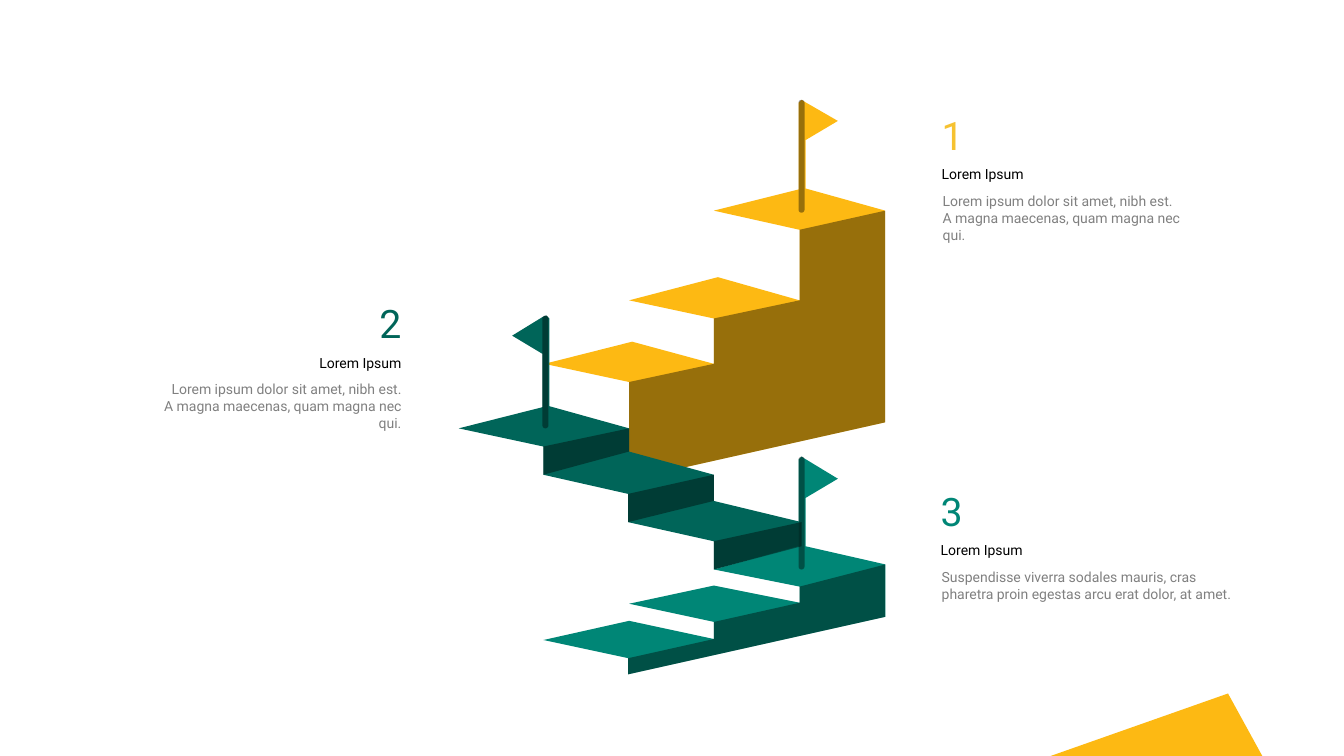
from dataclasses import dataclass

from lxml.etree import SubElement
from pptx import Presentation
from pptx.dml.color import RGBColor as RGB
from pptx.enum.shapes import MSO_SHAPE as SHAPE
from pptx.enum.text import MSO_ANCHOR as ANCHOR, MSO_AUTO_SIZE as AUTO, PP_ALIGN as ALIGN
from pptx.oxml.ns import qn
from pptx.util import Inches, Pt

COLORS = {
    "gold": "FDB913", "number_gold": "F6C231", "forest": "006559", "teal": "008676",
    "shade": "000000", "title": "000000", "body": "808080",
}
SHADE_OPACITY = 40
POLE_W, POLE_H = 0.06, 1.12
NUMBER_H, TITLE_H, BODY_H = 0.57, 0.27, 0.61
TITLE_DY, BODY_DY = 0.54, 0.81
HEAD_W = 3.21
FRAME = {
    "word_wrap": True, "auto_size": AUTO.SHAPE_TO_FIT_TEXT,
    "margin_left": 0, "margin_right": 0,
    "margin_top": Inches(0.05), "margin_bottom": Inches(0.05),
}

Contour = list[tuple[float, float]]


@dataclass
class Outline:
    color: str
    contours: list[Contour]


@dataclass
class Pole:
    left: float
    top: float


@dataclass
class Note:
    number: str
    color: str
    left: float
    top: float
    body_left: float
    body_w: float
    body: str
    align: ALIGN = ALIGN.LEFT


CORNER = Outline("gold", [[(12.18, 6.88), (10.42, 7.5), (12.52, 7.5)]])

STAIRS = [
    Outline("gold", [[
        (7.95, 0.99), (7.98, 1.01), (8.31, 1.2), (7.99, 1.39), (7.99, 1.87),
        (8.78, 2.09), (8.78, 4.19), (6.24, 4.76), (6.24, 3.79),
        (5.4, 3.61), (6.27, 3.39), (7.08, 3.61), (7.08, 3.16),
        (6.24, 2.98), (7.12, 2.75), (7.93, 2.98), (7.93, 2.28),
        (7.08, 2.09), (7.92, 1.88), (7.92, 1.02),
    ]]),
    Pole(7.92, 0.99),
    Outline("shade", [[
        (8.78, 2.09), (8.78, 4.19), (6.24, 4.76), (6.24, 3.79), (7.08, 3.61),
        (7.08, 3.16), (7.93, 2.98), (7.93, 2.28),
    ]]),
    Outline("forest", [[
        (5.42, 3.13), (5.45, 3.16), (5.45, 4.03), (6.24, 4.25), (6.24, 4.48),
        (7.08, 4.71), (7.08, 4.97), (7.95, 5.18), (7.95, 5.42), (7.08, 5.65),
        (7.08, 5.37), (6.23, 5.18), (6.23, 4.9), (5.39, 4.71), (5.39, 4.43),
        (4.55, 4.25), (5.38, 4.04), (5.38, 3.51), (5.08, 3.33), (5.39, 3.14),
    ]]),
    Outline("teal", [[
        (7.95, 4.53), (7.98, 4.55), (8.31, 4.75), (7.99, 4.94), (7.99, 5.42),
        (8.78, 5.6), (8.78, 6.12), (6.23, 6.69), (6.23, 6.53),
        (5.39, 6.35), (6.24, 6.16), (7.08, 6.34), (7.08, 6.17),
        (6.24, 5.99), (7.08, 5.81), (7.93, 5.98), (7.93, 5.82),
        (7.08, 5.65), (7.92, 5.42), (7.92, 4.56),
    ]]),
    Outline("shade", [
        [(7.95, 5.18), (7.95, 5.42), (7.08, 5.65), (7.08, 5.37)],
        [(7.08, 4.71), (7.08, 4.97), (6.23, 5.18), (6.23, 4.9)],
        [(6.24, 4.25), (6.24, 4.48), (5.39, 4.71), (5.39, 4.43)],
    ]),
    Pole(5.38, 3.13),
    Pole(7.92, 4.53),
    Outline("shade", [[
        (8.78, 5.6), (8.78, 6.12), (6.23, 6.69), (6.23, 6.53), (7.08, 6.34),
        (7.08, 6.17), (7.93, 5.98), (7.93, 5.82),
    ]]),
]

LOREM = "Lorem ipsum dolor sit amet, nibh est. A magna maecenas, quam magna nec qui."
NOTES = [
    Note("1", "number_gold", 9.34, 1.05, 9.35, 2.4, LOREM),
    Note("2", "forest", 0.77, 2.92, 1.59, 2.39, LOREM, ALIGN.RIGHT),
    Note("3", "teal", 9.33, 4.78, 9.34, 2.94,
         "Suspendisse viverra sodales mauris, cras pharetra proin egestas arcu erat dolor, at amet."),
]


def paint(s, color: str) -> None:
    """Fill a shape without line or shadow; the shade colour is translucent."""
    s.shadow.inherit = False
    s.line.fill.background()
    s.fill.solid()
    s.fill.fore_color.rgb = RGB.from_string(COLORS[color])
    if color == "shade":
        clr = s._element.spPr.find(".//" + qn("a:srgbClr"))
        SubElement(clr, qn("a:alpha"), val=str(SHADE_OPACITY * 1000))


def draw_outline(shapes, outline: Outline) -> None:
    contours = [[(Inches(x), Inches(y)) for x, y in c] for c in outline.contours]
    builder = shapes.build_freeform(*contours[0][0])
    for i, (start, *rest) in enumerate(contours):
        if i:
            builder.move_to(*start)
        builder.add_line_segments(rest, close=True)
    paint(builder.convert_to_shape(), outline.color)


def draw_pole(shapes, pole: Pole) -> None:
    s = shapes.add_shape(SHAPE.ROUNDED_RECTANGLE, Inches(pole.left), Inches(pole.top),
                         Inches(POLE_W), Inches(POLE_H))
    s.adjustments[0] = 0.5
    paint(s, "shade")


def add_text(shapes, text: str, box: tuple[float, float, float, float], size: int,
             color: str, align: ALIGN, anchor: ANCHOR) -> None:
    tf = shapes.add_textbox(*map(Inches, box)).text_frame
    for name, value in {**FRAME, "vertical_anchor": anchor}.items():
        setattr(tf, name, value)
    p = tf.paragraphs[0]
    p.alignment = align
    r = p.add_run()
    r.text = text
    for name, value in {"name": "Roboto", "size": Pt(size)}.items():
        setattr(r.font, name, value)
    r.font.color.rgb = RGB.from_string(COLORS[color])


def draw_note(shapes, n: Note) -> None:
    add_text(shapes, n.number, (n.left, n.top, HEAD_W, NUMBER_H),
             28, n.color, n.align, ANCHOR.BOTTOM)
    add_text(shapes, "Lorem Ipsum", (n.left, n.top + TITLE_DY, HEAD_W, TITLE_H),
             10, "title", n.align, ANCHOR.BOTTOM)
    add_text(shapes, n.body, (n.body_left, n.top + BODY_DY, n.body_w, BODY_H),
             10, "body", n.align, ANCHOR.TOP)


def main() -> None:
    prs = Presentation()
    prs.slide_width, prs.slide_height = Inches(13.33), Inches(7.5)
    shapes = prs.slides.add_slide(prs.slide_layouts[6]).shapes
    draw_outline(shapes, CORNER)
    for part in STAIRS:
        if isinstance(part, Pole):
            draw_pole(shapes, part)
        else:
            draw_outline(shapes, part)
    for note in NOTES:
        draw_note(shapes, note)
    prs.save("out.pptx")


if __name__ == "__main__":
    main()
